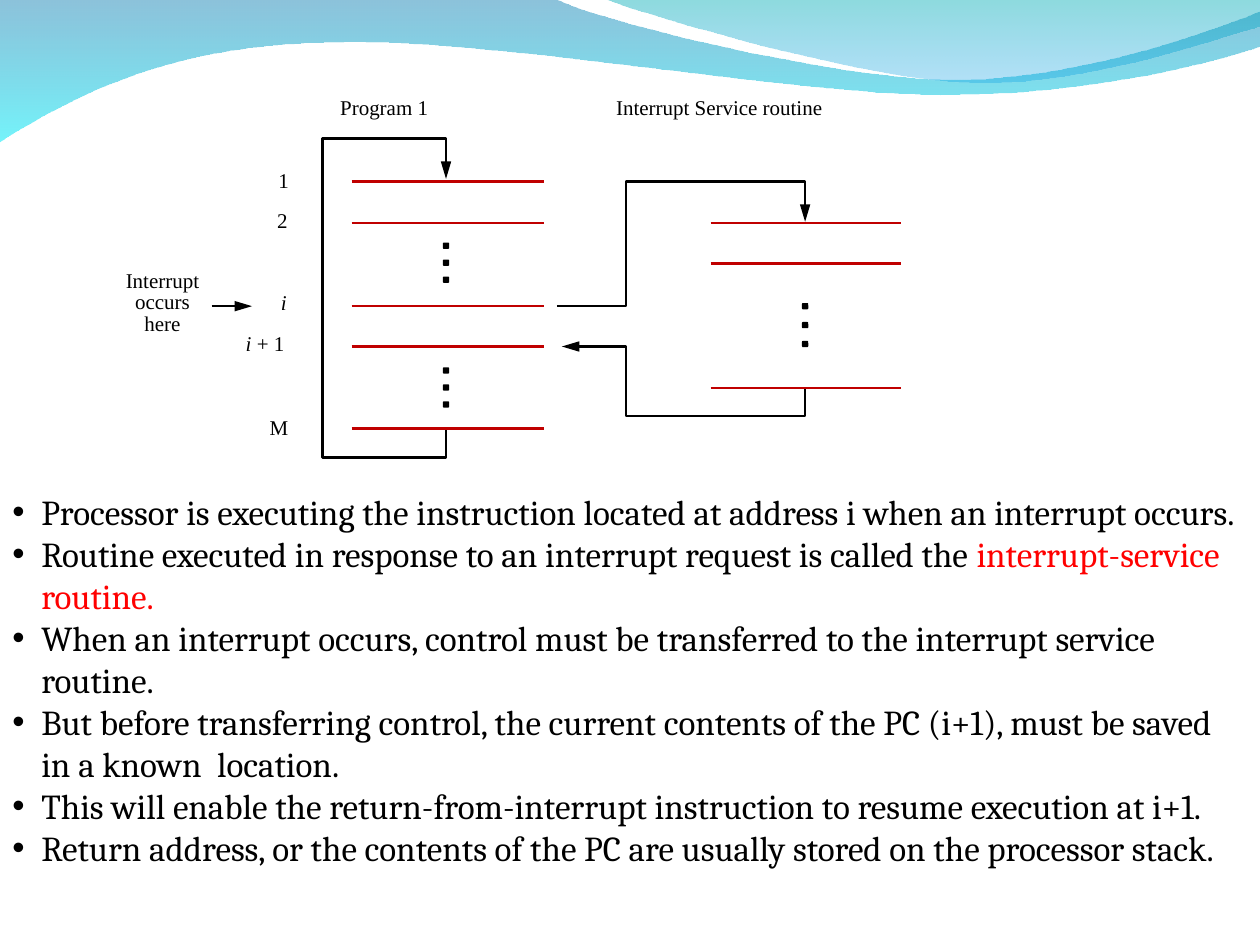
"""Build the slide on interrupt service routines."""
from typing import NamedTuple

from lxml.etree import SubElement
from pptx import Presentation
from pptx.dml.color import RGBColor
from pptx.enum.shapes import MSO_CONNECTOR as CONN, MSO_SHAPE as SHAPE
from pptx.enum.text import MSO_AUTO_SIZE as AUTO, PP_ALIGN as ALIGN
from pptx.oxml.ns import qn
from pptx.util import Inches, Pt

BLACK, DARK_RED, RED = "000000", "C00000", "FF0000"
LINE_W = 1.39
PROGRAM_X, SERVICE_X = 3.54, 6.39

Point = tuple[float, float]


class Stop(NamedTuple):
    color: str
    opacity: int


class Wave(NamedTuple):
    points: list[Point]
    top: Stop
    bottom: Stop


class Label(NamedTuple):
    text: str
    x: float
    y: float
    w: float


class Steps(NamedTuple):
    x1: float
    x2: float
    ys: list[float]


class Dots(NamedTuple):
    x: float
    y: float
    pitch: float


def rgb(value: str) -> RGBColor:
    return RGBColor.from_string(value)


def bezier(*ctrl: Point, steps: int = 24) -> list[Point]:
    """Return points along a cubic curve, its start included."""
    points = []
    for k in range(steps + 1):
        t = k / steps
        weights = ((1 - t) ** 3, 3 * t * (1 - t) ** 2, 3 * t * t * (1 - t), t ** 3)
        points.append(tuple(sum(w * c[a] for w, c in zip(weights, ctrl)) for a in (0, 1)))
    return points


def add_path(s, points: list[Point], close: bool):
    emu = [(Inches(x), Inches(y)) for x, y in points]
    builder = s.shapes.build_freeform(*emu[0])
    builder.add_line_segments(emu[1:], close=close)
    sp = builder.convert_to_shape()
    sp.shadow.inherit = False
    return sp


def style_line(line, color: str) -> None:
    line.color.rgb = rgb(color)
    line.width = Pt(LINE_W)


def add_arrowhead(shape) -> None:
    ln = shape.line._get_or_add_ln()
    SubElement(ln, qn("a:tailEnd"), type="triangle", w="med", len="lg")


def add_wave(s, wave: Wave) -> None:
    sp = add_path(s, wave.points, close=True)
    sp.line.fill.background()
    sp.fill.gradient()
    sp.fill.gradient_angle = 270
    stops = (wave.top, wave.bottom)
    for gs, stop in zip(sp.fill.gradient_stops, stops):
        gs.color.rgb = rgb(stop.color)
    for clr, stop in zip(sp._element.spPr.iter(qn("a:srgbClr")), stops):
        SubElement(clr, qn("a:alpha"), val=str(stop.opacity * 1000))


def add_route(s, points: list[Point]) -> None:
    sp = add_path(s, points, close=False)
    sp.fill.background()
    style_line(sp.line, BLACK)
    add_arrowhead(sp)


def add_line(s, start: Point, end: Point, color: str):
    cxn = s.shapes.add_connector(CONN.STRAIGHT, *map(Inches, start + end))
    style_line(cxn.line, color)
    SubElement(cxn._element.spPr, qn("a:effectLst"))
    return cxn


def add_dots(s, dots: Dots, size: float = 0.05) -> None:
    for k in range(3):
        left, top = dots.x - size / 2, dots.y + k * dots.pitch - size / 2
        dot = s.shapes.add_shape(SHAPE.ROUNDED_RECTANGLE, *map(Inches, (left, top, size, size)))
        dot.shadow.inherit = False
        dot.fill.solid()
        dot.fill.fore_color.rgb = rgb(BLACK)
        dot.line.fill.background()


def style_run(r, size: float, font: str, color: str = BLACK) -> None:
    r.font.size, r.font.name = Pt(size), font
    r.font.color.rgb = rgb(color)


def add_label(s, label: Label):
    lines = label.text.split("\n")
    box = (label.x, label.y, label.w, 0.2 * len(lines))
    tf = s.shapes.add_textbox(*map(Inches, box)).text_frame
    tf.margin_left = tf.margin_top = tf.margin_right = tf.margin_bottom = 0
    tf.word_wrap = False
    tf.text = label.text
    for p in tf.paragraphs:
        if len(lines) > 1:
            p.alignment, p.line_spacing = ALIGN.CENTER, Pt(12.4)
        for r in p.runs:
            style_run(r, 12, "Times New Roman")
    return tf


def add_bullets(s, items: list[tuple[str, str]]) -> None:
    """Write bulleted paragraphs, each a black part and a red part."""
    tf = s.shapes.add_textbox(*map(Inches, (0, 3.84, 10, 4.1))).text_frame
    tf.word_wrap, tf.auto_size = True, AUTO.SHAPE_TO_FIT_TEXT
    tf.text = "\n".join(plain for plain, _ in items)
    for p, (_, marked) in zip(tf.paragraphs, items):
        style_run(p.runs[0], 20, "Cambria")
        if marked:
            r = p.add_run()
            r.text = marked
            style_run(r, 20, "Cambria", RED)
        pPr = p._p.get_or_add_pPr()
        pPr.set("marL", str(Inches(0.23)))
        pPr.set("indent", str(Inches(-0.23)))
        SubElement(SubElement(pPr, qn("a:buClr")), qn("a:srgbClr"), val=BLACK)
        SubElement(pPr, qn("a:buFont"), typeface="Arial")
        SubElement(pPr, qn("a:buChar"), char="•")


WAVES = [
    Wave([(0, -0.01)]
         + bezier((4.4, -0.01), (4.76, 0.17), (6.64, 0.63), (7.58, 0.63))
         + bezier((7.58, 0.63), (8.53, 0.63), (9.58, 0.26), (10, 0.09))
         + bezier((10.01, 0.36), (9.83, 0.44), (8.7, 0.76), (7.46, 0.75))
         + bezier((7.46, 0.75), (6.22, 0.75), (3.82, 0.28), (2.57, 0.34))
         + bezier((2.57, 0.34), (1.29, 0.35), (0.46, 0.83), (-0.01, 1.13)),
         Stop("0079AF", 45), Stop("00EBF8", 55)),
    Wave(bezier((4.79, -0.01), (5.09, 0.11), (6.82, 0.62), (7.69, 0.65))
         + bezier((7.69, 0.65), (8.56, 0.69), (9.61, 0.32), (10, 0.21)) + [(10, 0)],
         Stop("00ADB6", 45), Stop("009BE5", 30)),
]
LABELS = [
    Label("Interrupt Service routine", 4.89, 0.75, 1.64),
    Label("Program 1", 2.7, 0.75, 0.7),
    Label("Interrupt\noccurs\nhere", 0.89, 2.15, 0.8),
    Label("1", 2.21, 1.33, 0.08),
    Label("2", 2.2, 1.65, 0.08),
    Label("M", 2.14, 3.29, 0.15),
]
STEPS = [Steps(2.79, 4.32, [1.44, 1.77, 2.43, 2.75, 3.4]),
         Steps(5.64, 7.15, [1.77, 2.09, 3.08])]
DOTS = [Dots(PROGRAM_X, 1.95, 0.135), Dots(PROGRAM_X, 2.94, 0.135), Dots(SERVICE_X, 2.43, 0.15)]
ROUTES = [
    [(PROGRAM_X, 3.4), (PROGRAM_X, 3.63), (2.56, 3.63), (2.56, 1.1), (PROGRAM_X, 1.1),
     (PROGRAM_X, 1.42)],
    [(4.42, 2.43), (4.97, 2.43), (4.97, 1.44), (SERVICE_X, 1.44), (SERVICE_X, 1.76)],
    [(SERVICE_X, 3.08), (SERVICE_X, 3.3), (4.97, 3.3), (4.97, 2.75), (4.46, 2.75)],
]
BULLETS = [
    ("Processor is executing the instruction located at address i when an interrupt occurs.", ""),
    ("Routine executed in response to an interrupt request is called the ",
     "interrupt-service routine."),
    ("When an interrupt occurs, control must be transferred to the interrupt service routine.", ""),
    ("But before transferring control, the current contents of the PC (i+1), must be saved "
     "in a known  location.", ""),
    ("This will enable the return-from-interrupt instruction to resume execution at i+1.", ""),
    ("Return address, or the contents of the PC are usually stored on the processor stack.", ""),
]


def main() -> None:
    prs = Presentation()
    prs.slide_width, prs.slide_height = Inches(10), Inches(7.5)
    s = prs.slides.add_slide(prs.slide_layouts[6])
    for wave in WAVES:
        add_wave(s, wave)
    for label in LABELS:
        add_label(s, label)
    add_label(s, Label("i", 2.23, 2.3, 0.05)).paragraphs[0].runs[0].font.italic = True
    p = add_label(s, Label("i", 1.95, 2.62, 0.31)).paragraphs[0]
    p.runs[0].font.italic = True
    r = p.add_run()
    r.text = " + 1"
    style_run(r, 12, "Times New Roman")
    add_arrowhead(add_line(s, (1.68, 2.43), (2, 2.43), BLACK))
    for route in ROUTES:
        add_route(s, route)
    for dots in DOTS:
        add_dots(s, dots)
    for steps in STEPS:
        for y in steps.ys:
            add_line(s, (steps.x1, y), (steps.x2, y), DARK_RED)
    add_bullets(s, BULLETS)
    prs.save("out.pptx")


if __name__ == "__main__":
    main()
